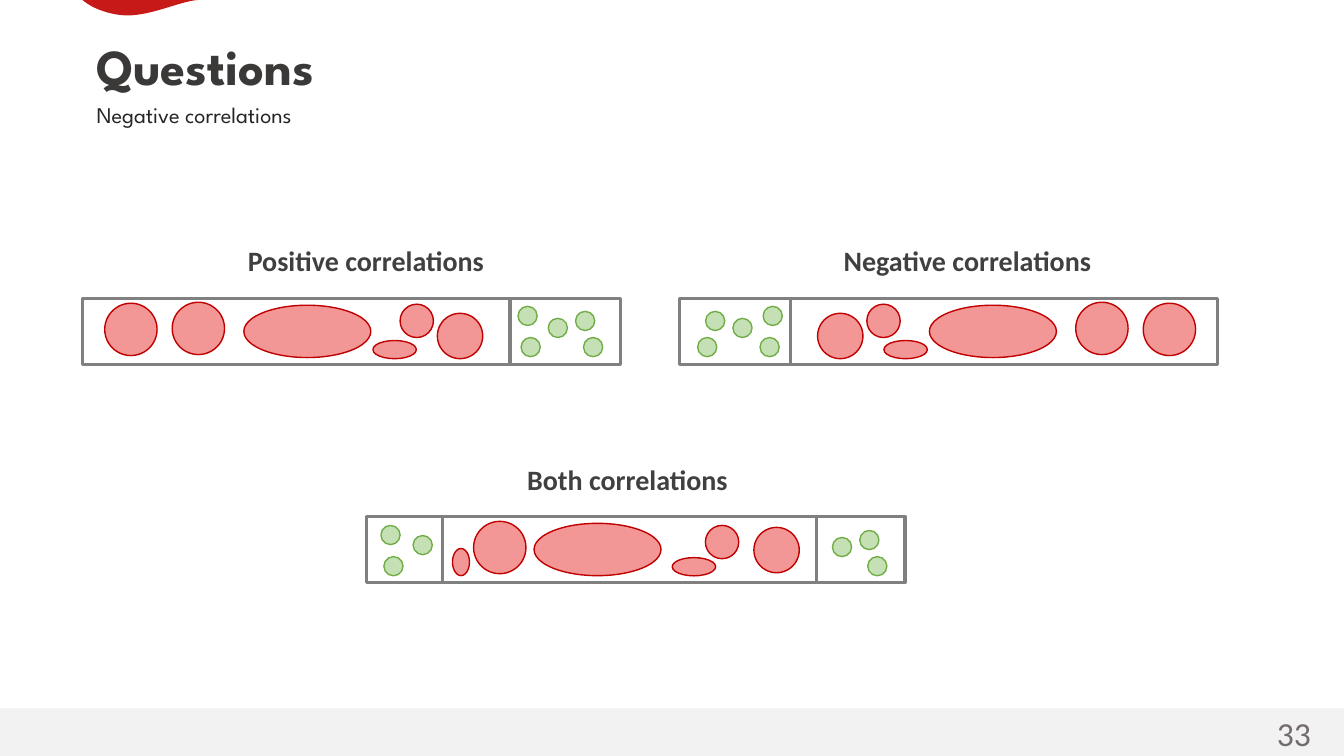
from pptx import Presentation
from pptx.dml.color import RGBColor
from pptx.enum.shapes import MSO_CONNECTOR as Connector, MSO_SHAPE as Shape
from pptx.enum.text import MSO_AUTO_SIZE as AutoSize
from pptx.oxml.ns import qn
from pptx.util import Pt
from lxml import etree

THEME = {
    "heading_font": "League Spartan", "body_font": "Calibri",
    "title": "3B3838", "subtitle": "262626", "label": "404040", "number": "726C6C",
    "title_size": 36, "subtitle_size": 16, "label_size": 20, "number_size": 24,
    "footer": "F2F2F2", "wave": "C81919",
    "bar": ("FFFFFF", "808080", 2.25),
    "small": ("C5E0B4", "70AD47", 1),
    "large": ("F29696", "C00000", 1),
}

SLIDE_W, SLIDE_H = 960, 540
BAR_W, BAR_H = 384.5, 47.4
DOT = 13.7
DISC, OVAL, SLIVER = (37.4, 37.4), (90.7, 37.4), (31, 13)
BALL, ORB, BEAN = (23.8, 23.8), (32.4, 32.4), (12.2, 19.4)

ONE_SIDED = {
    "dividers": [305.3],
    "dots": [(311, 5.8), (332.6, 14.4), (352.1, 9.4), (357.8, 28.1), (313.2, 28.1)],
    "blobs": [(15.8, 3.6, DISC), (64, 2.9, DISC), (115.2, 5, OVAL),
              (207.4, 30.2, SLIVER), (226.8, 4.3, BALL), (253.4, 10.8, ORB)],
}
TWO_SIDED = {
    "dividers": [54, 321.1],
    "dots": [(10.1, 6.5), (332.6, 15.1), (352.1, 10.1), (357.8, 28.8),
             (12.2, 28.8), (33.1, 13.7)],
    "blobs": [(76.3, 3.6, DISC), (119.5, 5, OVAL), (218.2, 29.5, SLIVER),
              (241.9, 6.5, BALL), (276.5, 7.9, ORB), (61.2, 23, BEAN)],
}
DIAGRAMS = [
    ("Positive correlations", 177, 174.2, 59, 213, ONE_SIDED, False),
    ("Negative correlations", 602.6, 174.2, 485.3, 213, ONE_SIDED, True),
    ("Both correlations", 376.6, 330.5, 262, 368.8, TWO_SIDED, False),
]
WAVE = [
    [(59, 0), (59, 0), (67.7, 8.6), (86.4, 10.8)],
    [(86.4, 10.8), (105.1, 13), (128.2, 0.7), (141.8, 0)],
]
WAVE_STEPS = 16


def rgb(value):
    return RGBColor.from_string(value)


def add_text(wording, left, top, width, height, role, font, bold=False, inset=0, wrap=True):
    box = slide.shapes.add_textbox(Pt(left), Pt(top), Pt(width), Pt(height))
    frame = box.text_frame
    frame.text = wording
    frame.word_wrap = wrap
    frame.auto_size = AutoSize.NONE
    frame.margin_left = frame.margin_right = Pt(inset)
    frame.margin_top = frame.margin_bottom = Pt(inset / 2)
    style = frame.paragraphs[0].runs[0].font
    style.name = THEME[font]
    style.size = Pt(THEME[role + "_size"])
    style.bold = bold
    style.color.rgb = rgb(THEME[role])


def paint(part, fill, line=None, weight=0):
    part.shadow.inherit = False
    part.fill.solid()
    part.fill.fore_color.rgb = rgb(fill)
    if line:
        part.line.color.rgb = rgb(line)
        part.line.width = Pt(weight)
    else:
        part.line.fill.background()


def add_part(shapes, kind, left, top, width, height, style):
    part = shapes.add_shape(kind, Pt(left), Pt(top), Pt(width), Pt(height))
    paint(part, *style)


def add_divider(shapes, x, top):
    divider = shapes.add_connector(Connector.STRAIGHT, Pt(x), Pt(top), Pt(x), Pt(top + BAR_H))
    divider.line.color.rgb = rgb(THEME["bar"][1])
    divider.line.width = Pt(THEME["bar"][2])
    etree.SubElement(divider._element.spPr, qn("a:effectLst"))


def add_diagram(left, top, layout, mirrored):
    def place(x, width=0):
        return left + (BAR_W - x - width if mirrored else x)

    shapes = slide.shapes.add_group_shape().shapes
    add_part(shapes, Shape.RECTANGLE, left, top, BAR_W, BAR_H, THEME["bar"])
    for x in layout["dividers"]:
        add_divider(shapes, place(x), top)
    for x, y in layout["dots"]:
        add_part(shapes, Shape.OVAL, place(x, DOT), top + y, DOT, DOT, THEME["small"])
    for x, y, (width, height) in layout["blobs"]:
        add_part(shapes, Shape.OVAL, place(x, width), top + y, width, height, THEME["large"])


def curve_point(curve, t):
    weights = [(1 - t) ** 3, 3 * t * (1 - t) ** 2, 3 * t ** 2 * (1 - t), t ** 3]
    return tuple(Pt(sum(w * point[axis] for w, point in zip(weights, curve)))
                 for axis in (0, 1))


def add_wave():
    outline = [curve_point(curve, step / WAVE_STEPS)
               for curve in WAVE for step in range(1, WAVE_STEPS + 1)]
    start_x, start_y = WAVE[0][0]
    builder = slide.shapes.build_freeform(Pt(start_x), Pt(start_y))
    builder.add_line_segments(outline, close=True)
    paint(builder.convert_to_shape(), THEME["wave"])


deck = Presentation()
deck.slide_width, deck.slide_height = Pt(SLIDE_W), Pt(SLIDE_H)
slide = deck.slides.add_slide(deck.slide_layouts[6])

add_part(slide.shapes, Shape.RECTANGLE, 0, 506, SLIDE_W, SLIDE_H - 506, (THEME["footer"],))
add_text("Questions", 69, 25.2, 172, 44, "title", "heading_font", bold=True, wrap=False)
add_wave()
add_text("Negative correlations", 69, 72, 227.5, 19.4, "subtitle", "heading_font")
for label, label_x, label_y, bar_x, bar_y, layout, mirrored in DIAGRAMS:
    add_text(label, label_x, label_y, 210, 24.5, "label", "body_font", bold=True)
    add_diagram(bar_x, bar_y, layout, mirrored)
add_text("33", 905, 505.4, 59.8, 28.8, "number", "body_font", inset=7.2)

deck.save("out.pptx")
